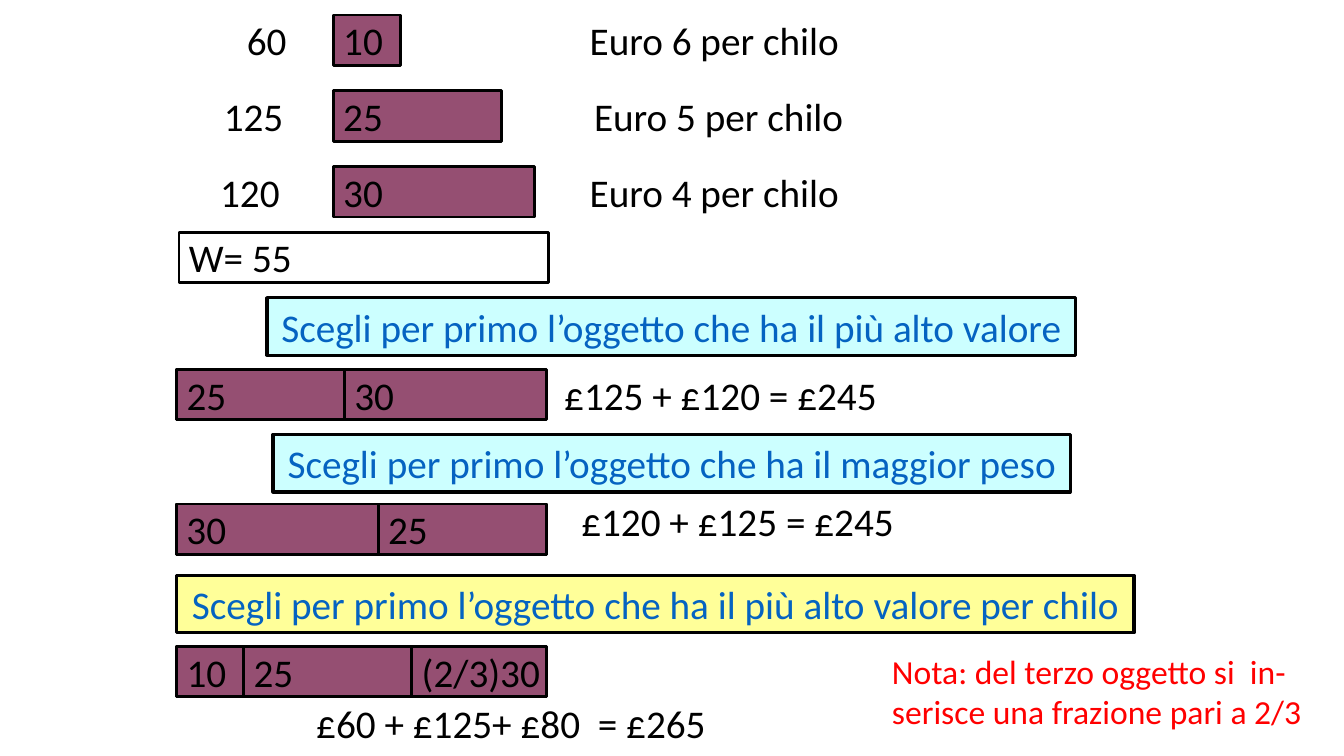
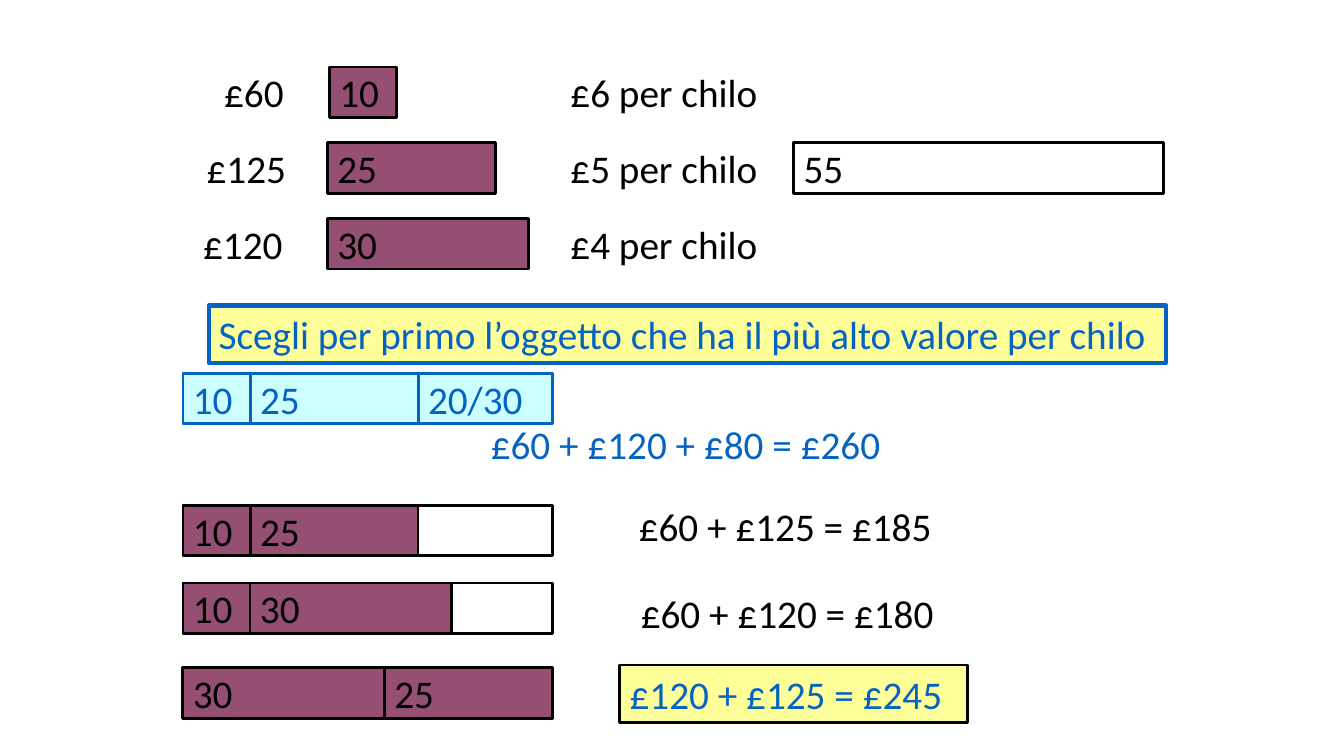
from pptx import Presentation
from pptx.dml.color import RGBColor
from pptx.enum.shapes import MSO_SHAPE
from pptx.enum.text import MSO_ANCHOR, PP_ALIGN
from pptx.util import Cm, Pt

RECTANGLE = MSO_SHAPE.RECTANGLE
MIDDLE = MSO_ANCHOR.MIDDLE
LEFT = PP_ALIGN.LEFT
CENTER = PP_ALIGN.CENTER

BLACK = "000000"
BLUE = "0563C1"
RED = "FF0000"
PLUM = "954F72"
CYAN = "CCFFFF"
YELLOW = "FFFF99"

FONT = "Calibri"
CAPACITY = 55
CM_PER_KILO = 2.54 / 15
ROW_HEIGHT = 1.27
BANNER_HEIGHT = 1.45
ITEM_STEP = 1.91
VALUE_WIDTH = 3.4
PRICE_WIDTH = 7
SUM_WIDTH = 13.5
BEST_RATIO = "Scegli per primo l’oggetto che ha il più alto valore per chilo"


def color(value):
    return RGBColor.from_string(value)


def write(shape, text, size=28, ink=BLACK, align=LEFT, wrap=False):
    frame = shape.text_frame
    frame.word_wrap = wrap
    frame.vertical_anchor = MIDDLE
    paragraph = frame.paragraphs[0]
    paragraph.alignment = align
    run = paragraph.add_run()
    run.text = text
    run.font.name = FONT
    run.font.size = Pt(size)
    run.font.color.rgb = color(ink)


class Deck:
    def __init__(self):
        self.presentation = Presentation()
        self.presentation.slide_width = Cm(33.87)
        self.presentation.slide_height = Cm(19.05)
        self.slide = None

    def add_slide(self):
        layout = self.presentation.slide_layouts[6]
        self.slide = self.presentation.slides.add_slide(layout)

    def label(self, text, left, top, width, height=ROW_HEIGHT, **text_format):
        shape = self.slide.shapes.add_textbox(Cm(left), Cm(top), Cm(width), Cm(height))
        write(shape, text, **text_format)

    def box(self, left, top, width, height=ROW_HEIGHT, text="", fill=None,
            line=BLACK, weight=2, **text_format):
        shape = self.slide.shapes.add_shape(
            RECTANGLE, Cm(left), Cm(top), Cm(width), Cm(height))
        shape.shadow.inherit = False
        if fill:
            shape.fill.solid()
            shape.fill.fore_color.rgb = color(fill)
        else:
            shape.fill.background()
        shape.line.color.rgb = color(line)
        shape.line.width = Pt(weight)
        if text:
            write(shape, text, **text_format)

    def banner(self, text, left, top, width, fill, **box_format):
        self.box(left, top, width, BANNER_HEIGHT, text, fill, ink=BLUE, **box_format)

    def bar(self, left, top, kilos, text, fill=PLUM, ink=BLACK):
        self.box(left, top, kilos * CM_PER_KILO, text=text, fill=fill, line=ink, ink=ink)

    def knapsack(self, left, top, parts=(), text="", fill=PLUM, ink=BLACK):
        self.bar(left, top, CAPACITY, text, fill=None, ink=ink)
        for kilos, part_text in parts:
            self.bar(left, top, kilos, part_text, fill, ink)
            left += kilos * CM_PER_KILO

    def items(self, top, rows):
        for index, (kilos, bar_left, value, value_left, price, price_left) in enumerate(rows):
            row_top = top + index * ITEM_STEP
            self.label(value, value_left, row_top, VALUE_WIDTH, align=CENTER)
            self.bar(bar_left, row_top, kilos, str(kilos))
            self.label(price, price_left, row_top, PRICE_WIDTH, align=CENTER)

    def sum(self, text, left, top, ink=BLACK):
        self.label(text, left, top, SUM_WIDTH, ink=ink)


def build_strategies(deck):
    deck.add_slide()
    deck.items(0.38, [
        (10, 8.4, "60", 5.02, "Euro 6 per chilo", 14.5),
        (25, 8.4, "125", 4.69, "Euro 5 per chilo", 14.61),
        (30, 8.4, "120", 4.6, "Euro 4 per chilo", 14.5),
    ])
    deck.knapsack(4.51, 5.85, text="W= 55")
    for text, left, top, width, fill in [
        ("Scegli per primo l’oggetto che ha il più alto valore", 6.73, 7.5, 20.37, CYAN),
        ("Scegli per primo l’oggetto che ha il maggior peso", 6.88, 10.95, 20.09, CYAN),
        (BEST_RATIO, 4.45, 14.5, 24.13, YELLOW),
    ]:
        deck.banner(text, left, top, width, fill, weight=2.25, align=CENTER)
    for top, parts in [
        (9.31, [(25, "25"), (30, "30")]),
        (12.7, [(30, "30"), (25, "25")]),
        (16.29, [(10, "10"), (25, "25"), (20, "(2/3)30")]),
    ]:
        deck.knapsack(4.45, top, parts)
    deck.sum("£125 + £120 = £245", 13.97, 9.32)
    deck.sum("£120 + £125 = £245", 14.4, 12.5)
    deck.sum("£60 + £125+ £80  = £265", 7.72, 17.58)
    deck.label("Nota: del terzo oggetto si  in-serisce una frazione pari a 2/3",
               22.23, 16.26, 11.43, 2.31, size=24, ink=RED, wrap=True)


def build_comparison(deck):
    deck.add_slide()
    deck.items(1.69, [
        (10, 8.3, "£60", 4.7, "£6 per chilo", 13.23),
        (25, 8.25, "£125", 4.51, "£5 per chilo", 13.23),
        (30, 8.25, "£120", 4.42, "£4 per chilo", 13.23),
    ])
    deck.knapsack(20, 3.6, text="55")
    deck.banner(BEST_RATIO, 5.26, 7.7, 24.13, YELLOW, line=BLUE, weight=3)
    deck.knapsack(4.61, 9.41, [(10, "10"), (25, "25"), (20, "20/30")], fill=CYAN, ink=BLUE)
    for top, parts in [
        (12.74, [(10, "10"), (25, "25")]),
        (14.69, [(10, "10"), (30, "30")]),
        (16.83, [(30, "30"), (25, "25")]),
    ]:
        deck.knapsack(4.61, top, parts)
    deck.sum("£60 + £120 + £80 = £260", 12.12, 10.54, ink=BLUE)
    deck.sum("£60 + £125 = £185", 15.85, 12.62)
    deck.sum("£60 + £120 = £180", 15.9, 14.81)
    deck.banner("£120 + £125 = £245", 15.62, 16.76, 8.76, YELLOW)


def main():
    deck = Deck()
    build_strategies(deck)
    build_comparison(deck)
    deck.presentation.save("out.pptx")


if __name__ == "__main__":
    main()
